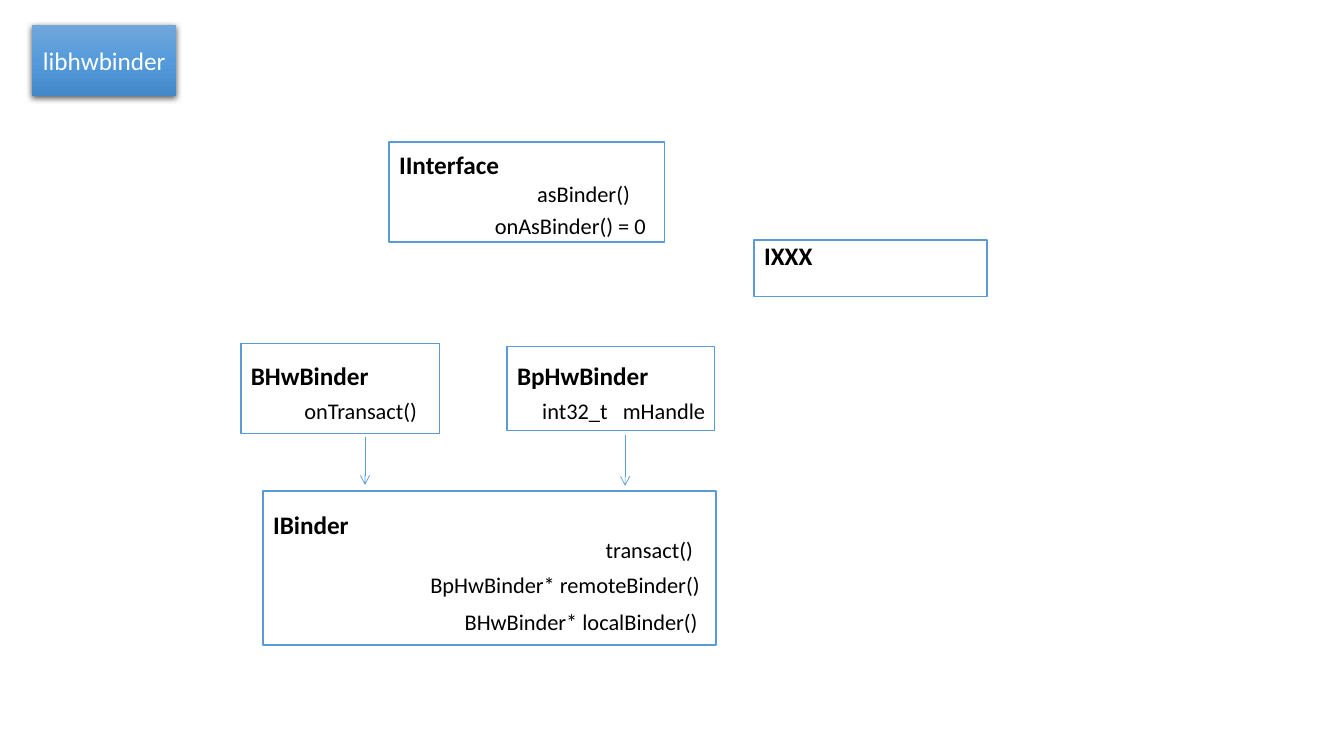
from copy import deepcopy

from lxml.etree import SubElement
from pptx import Presentation
from pptx.dml.color import RGBColor
from pptx.enum.shapes import MSO_CONNECTOR, MSO_SHAPE
from pptx.enum.text import MSO_ANCHOR, PP_ALIGN
from pptx.oxml.ns import qn
from pptx.util import Inches, Pt

# The grid has one column and one row per inch.
COLS, ROWS = 13.33, 7.5
FONT = "Calibri"
TITLE_PT, MEMBER_PT = 18, 16
MEMBER_HEIGHT = 0.37
TAB_STOP = 0.8
COLORS = {"white": "FFFFFF", "text": "000000", "outline": "5B9BD5", "shadow": "000000",
          "grad_top": "71A6DB", "grad_mid": "559BDB", "grad_end": "448ACA"}

LIBRARY = ("libhwbinder", (0.32, 0.25, 1.43, 0.7))

# name, (column, row, width, height), gap above name, members (text, column, row, width)
CLASSES = [
    ("IBinder", (2.61, 4.87, 4.49, 1.53), 0.18, [
        ("transact()", 5.91, 5.27, 1.16),
        ("BpHwBinder* remoteBinder()", 4.17, 5.62, 2.87),
        ("BHwBinder* localBinder()", 4.51, 5.98, 2.52)]),
    ("BpHwBinder", (5.03, 3.44, 2.06, 0.83), 0.13, [
        ("int32_t\tmHandle", 5.28, 3.89, 1.86)]),
    ("BHwBinder", (2.39, 3.41, 1.97, 0.89), 0.16, [
        ("onTransact()", 2.92, 3.89, 1.4)]),
    ("IInterface", (3.86, 1.41, 2.73, 0.99), 0.07, [
        ("asBinder()", 5.23, 1.74, 1.21),
        ("onAsBinder() = 0", 4.81, 2.06, 1.76)]),
    ("IXXX", (7.48, 2.38, 2.31, 0.56), 0, []),
]

# column, start row, end row
ARROWS = [(3.62, 4.34, 4.81), (6.2, 4.32, 4.82)]


def rgb(name):
    return RGBColor.from_string(COLORS[name])


def grid(*lengths):
    return [Inches(n) for n in lengths]


def add_text(tf, text, size, color, bold=False):
    p = tf.paragraphs[0]
    r = p.add_run()
    r.text = text
    r.font.name, r.font.size, r.font.bold = FONT, Pt(size), bold
    r.font.color.rgb = rgb(color)
    return p


def add_box(s, box):
    sp = s.shapes.add_shape(MSO_SHAPE.RECTANGLE, *grid(*box))
    sp.shadow.inherit = False
    return sp


def add_library(s, name, box):
    sp = add_box(s, box)
    sp.line.fill.background()
    sp.fill.gradient()
    sp.fill.gradient_angle = 270
    first = sp._element.spPr.find(".//" + qn("a:gs"))
    first.addnext(deepcopy(first))
    shades = ("grad_top", "grad_mid", "grad_end")
    for i, (stop, shade) in enumerate(zip(sp.fill.gradient_stops, shades)):
        stop.position = i / 2
        stop.color.rgb = rgb(shade)

    effects = sp._element.spPr.find(qn("a:effectLst"))
    shadow = SubElement(effects, qn("a:outerShdw"), blurRad=str(Pt(4.5)),
                        dist=str(Pt(1.5)), dir="5400000", algn="ctr", rotWithShape="0")
    color = SubElement(shadow, qn("a:srgbClr"), val=COLORS["shadow"])
    SubElement(color, qn("a:alpha"), val="63000")

    tf = sp.text_frame
    tf.vertical_anchor = MSO_ANCHOR.MIDDLE
    add_text(tf, name, TITLE_PT, "white").alignment = PP_ALIGN.CENTER


def add_class(s, name, box, gap):
    sp = add_box(s, box)
    sp.fill.solid()
    sp.fill.fore_color.rgb = rgb("white")
    sp.line.color.rgb = rgb("outline")
    sp.line.width = Pt(1)
    tf = sp.text_frame
    tf.vertical_anchor = MSO_ANCHOR.TOP
    tf.margin_top = Inches(gap)
    add_text(tf, name, TITLE_PT, "text", bold=True).alignment = PP_ALIGN.LEFT


def add_member(s, text, col, row, width):
    tf = s.shapes.add_textbox(*grid(col, row, width, MEMBER_HEIGHT)).text_frame
    tf.word_wrap = True
    p = add_text(tf, text, MEMBER_PT, "text")
    if "\t" in text:
        tabs = SubElement(p._p.get_or_add_pPr(), qn("a:tabLst"))
        SubElement(tabs, qn("a:tab"), pos=str(Inches(TAB_STOP)), algn="l")


def add_arrow(s, col, start, end):
    c = s.shapes.add_connector(MSO_CONNECTOR.STRAIGHT, *grid(col, start, col, end))
    c.line.color.rgb = rgb("outline")
    c.line.width = Pt(0.5)
    SubElement(c.line._get_or_add_ln(), qn("a:tailEnd"), type="arrow")
    SubElement(c._element.spPr, qn("a:effectLst"))


def main():
    prs = Presentation()
    prs.slide_width, prs.slide_height = grid(COLS, ROWS)
    s = prs.slides.add_slide(prs.slide_layouts[6])
    add_library(s, *LIBRARY)
    for name, box, gap, members in CLASSES:
        add_class(s, name, box, gap)
        for member in members:
            add_member(s, *member)
    for arrow in ARROWS:
        add_arrow(s, *arrow)
    prs.save("out.pptx")


if __name__ == "__main__":
    main()
